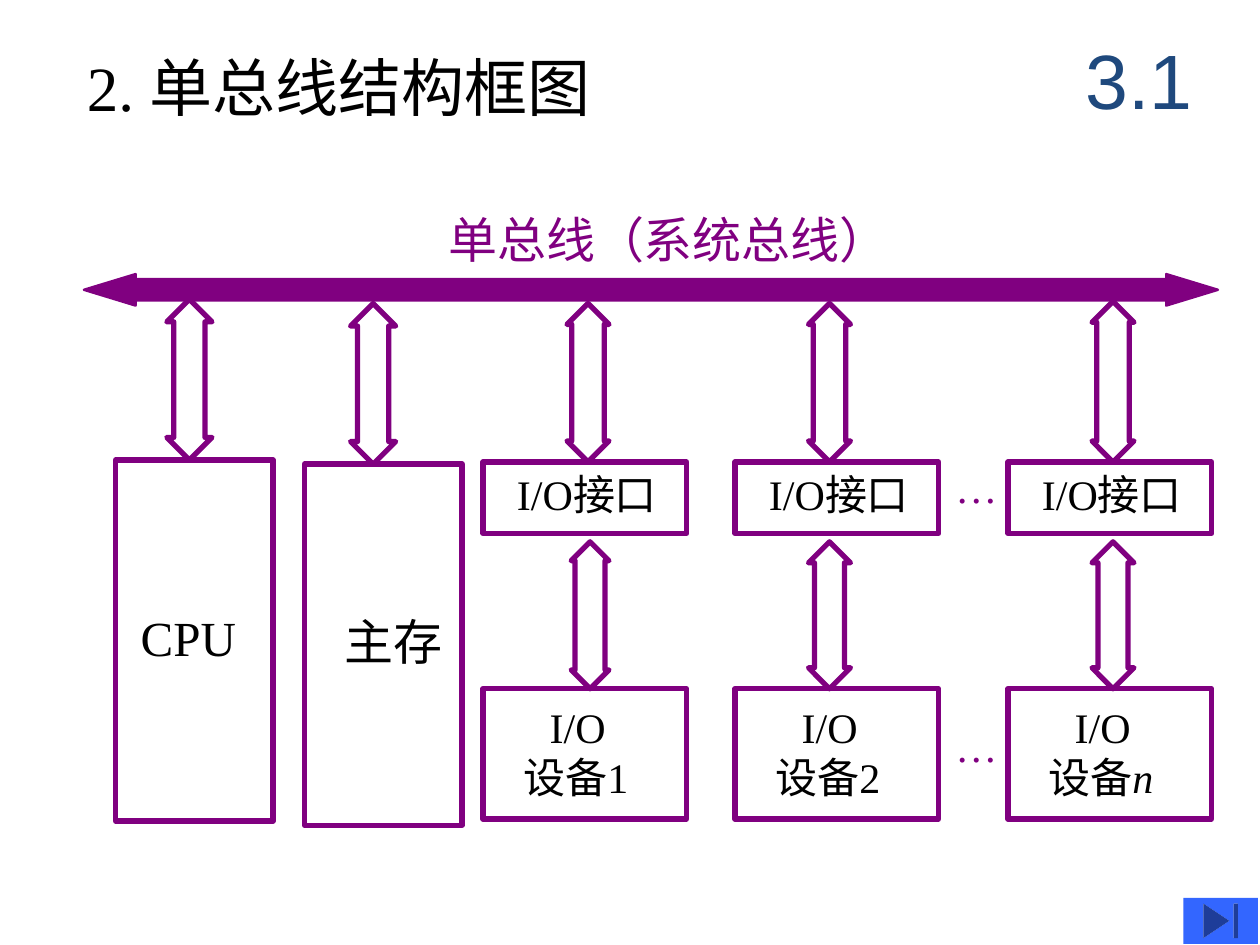
"""Builds the slide on the single-bus structure on a grid of 120 columns by 90 rows."""
from pptx import Presentation, util as u
from pptx.dml.color import RGBColor
from pptx.enum import shapes, text

PURPLE = RGBColor(0x80, 0x00, 0x80)
BLACK = RGBColor(0x00, 0x00, 0x00)
NAVY = RGBColor(0x1F, 0x49, 0x7D)
BLUE = RGBColor(0x33, 0x66, 0xFF)
KIND = shapes.MSO_SHAPE
TIMES = "Times New Roman"

deck = Presentation()
deck.slide_width, deck.slide_height = u.Inches(10), u.Inches(7.5)
slide = deck.slides.add_slide(deck.slide_layouts[6])
cell = deck.slide_width / 120


def draw(kind, grid, fill=None, line=PURPLE, width=3, adjust=()):
    shape = slide.shapes.add_shape(kind, *[round(n * cell) for n in grid])
    shape.shadow.inherit = False
    if fill is None:
        shape.fill.background()
    else:
        shape.fill.solid()
        shape.fill.fore_color.rgb = fill
    if line is None:
        shape.line.fill.background()
    else:
        shape.line.color.rgb = line
        shape.line.width = u.Pt(width)
    for i, share in enumerate(adjust):
        shape.adjustments[i] = share
    return shape


def write(shape, lines, size, name=TIMES, color=BLACK, left=0, top=0,
          wrap=True, align=text.PP_ALIGN.LEFT, anchor=text.MSO_ANCHOR.TOP):
    frame = shape.text_frame
    form = {"margin_left": u.Inches(left), "margin_top": u.Inches(top),
            "margin_right": 0, "margin_bottom": 0,
            "word_wrap": wrap, "vertical_anchor": anchor}
    for key, value in form.items():
        setattr(frame, key, value)
    for i, parts in enumerate(lines):
        para = frame.add_paragraph() if i else frame.paragraphs[0]
        para.alignment = align
        for part in parts:
            run = para.add_run()
            run.text = part
            run.font.color.rgb = color
            face = {"name": name, "size": u.Pt(size), "italic": part == "n"}
            for key, value in face.items():
                setattr(run.font, key, value)
    return frame


labels = [
    ((7.1, 4, 51.8, 8.4), "2. 单总线结构框图",
     {"size": 36, "left": 0.1, "top": 0.05, "wrap": False}),
    ((101, 2, 15, 11), "3.1",
     {"size": 44, "name": "Arial", "color": NAVY,
      "align": text.PP_ALIGN.CENTER, "anchor": text.MSO_ANCHOR.MIDDLE}),
    ((42.7, 20, 42, 5.6), "单总线（系统总线）",
     {"size": 28, "name": "Calibri", "color": PURPLE, "wrap": False}),
    ((91, 44, 5, 4.8), "…", {"size": 24, "color": PURPLE}),
    ((91, 68.6, 7, 4.8), "…", {"size": 24, "color": PURPLE}),
]
for grid, words, form in labels:
    box = slide.shapes.add_textbox(*[round(n * cell) for n in grid])
    write(box, [[words]], **form)

draw(KIND.LEFT_RIGHT_ARROW, (8, 26.1, 108, 3), PURPLE, width=1.39, adjust=(0.68, 1.64))

for col, row, words, left in [(11, 43.8, "CPU", 0.2), (29, 44.2, "主存", 0.32)]:
    box = draw(KIND.RECTANGLE, (col, row, 15, 34.4))
    write(box, [[words]], 28, left=left, top=1.17)
    draw(KIND.UP_DOWN_ARROW, (col + 5.2 - col / 36, row - 15.3, 4.3, 15.3),
         adjust=(0.5, 0.69))

units = [(46, "1", 54, 54.4, 3.6, 28.9), (70, "2", 77, 77, 4, 28.9),
         (96, "n", 104, 104, 4, 28.7)]
for col, mark, high, low, wide, row in units:
    port = draw(KIND.RECTANGLE, (col, 44, 19.4, 6.8))
    write(port, [["I/O接口"]], 24, left=0.27, top=0.05)
    unit = draw(KIND.RECTANGLE, (col, 65.6, 19.4, 12.4))
    frame = write(unit, [["I/O"], ["设备", mark]], 24, left=0.32, top=0.1)
    frame.paragraphs[0]._p.get_or_add_pPr().set("indent", str(u.Inches(0.21)))
    draw(KIND.UP_DOWN_ARROW, (high, row, 4, 44 - row), adjust=(0.5, 0.77))
    draw(KIND.UP_DOWN_ARROW, (low, 51.6, wide, 14), adjust=(0.5, 2.85 / wide))

draw(KIND.ACTION_BUTTON_END, (112.7, 85.5, 7.1, 4.4), BLUE, line=None)

deck.save("out.pptx")
